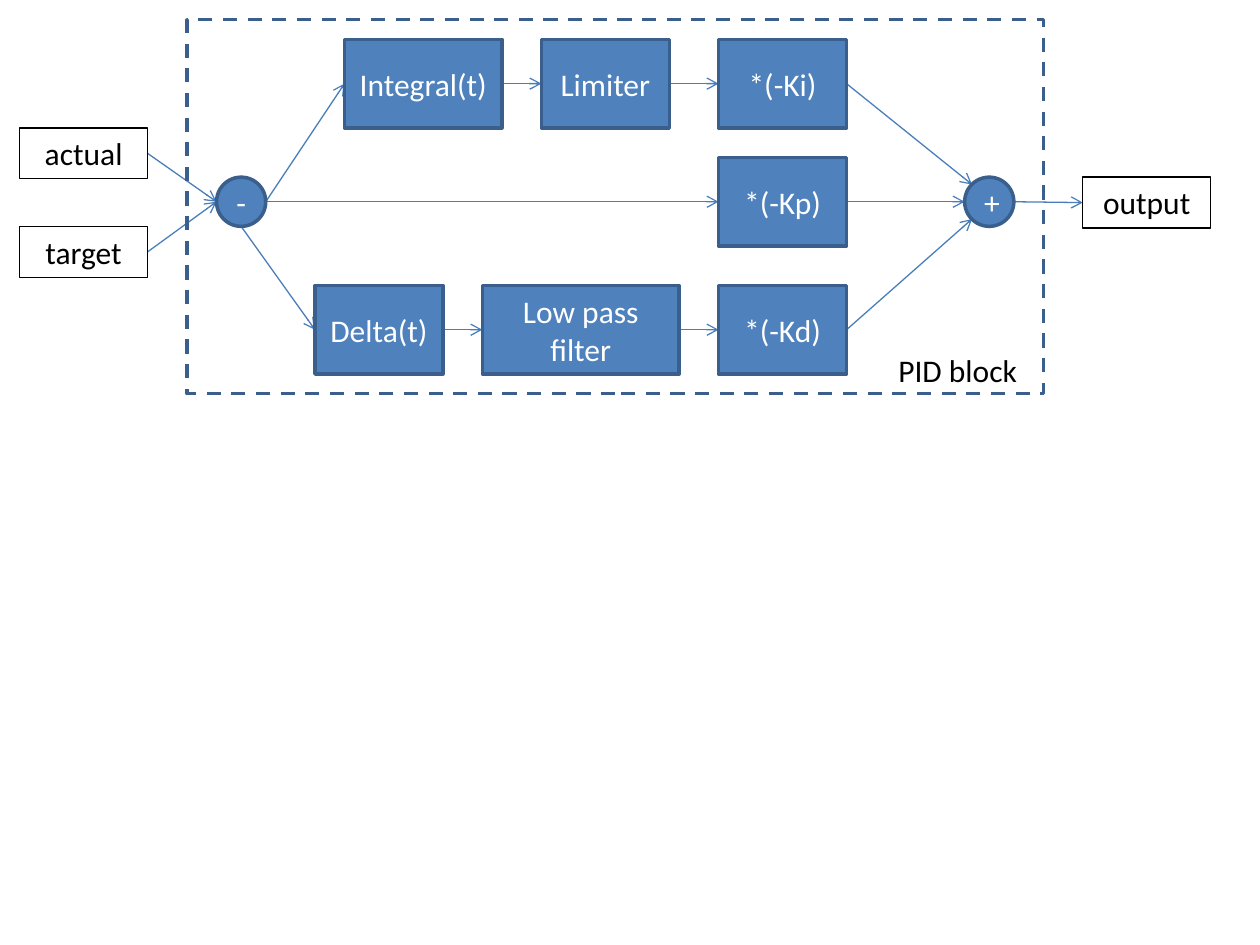
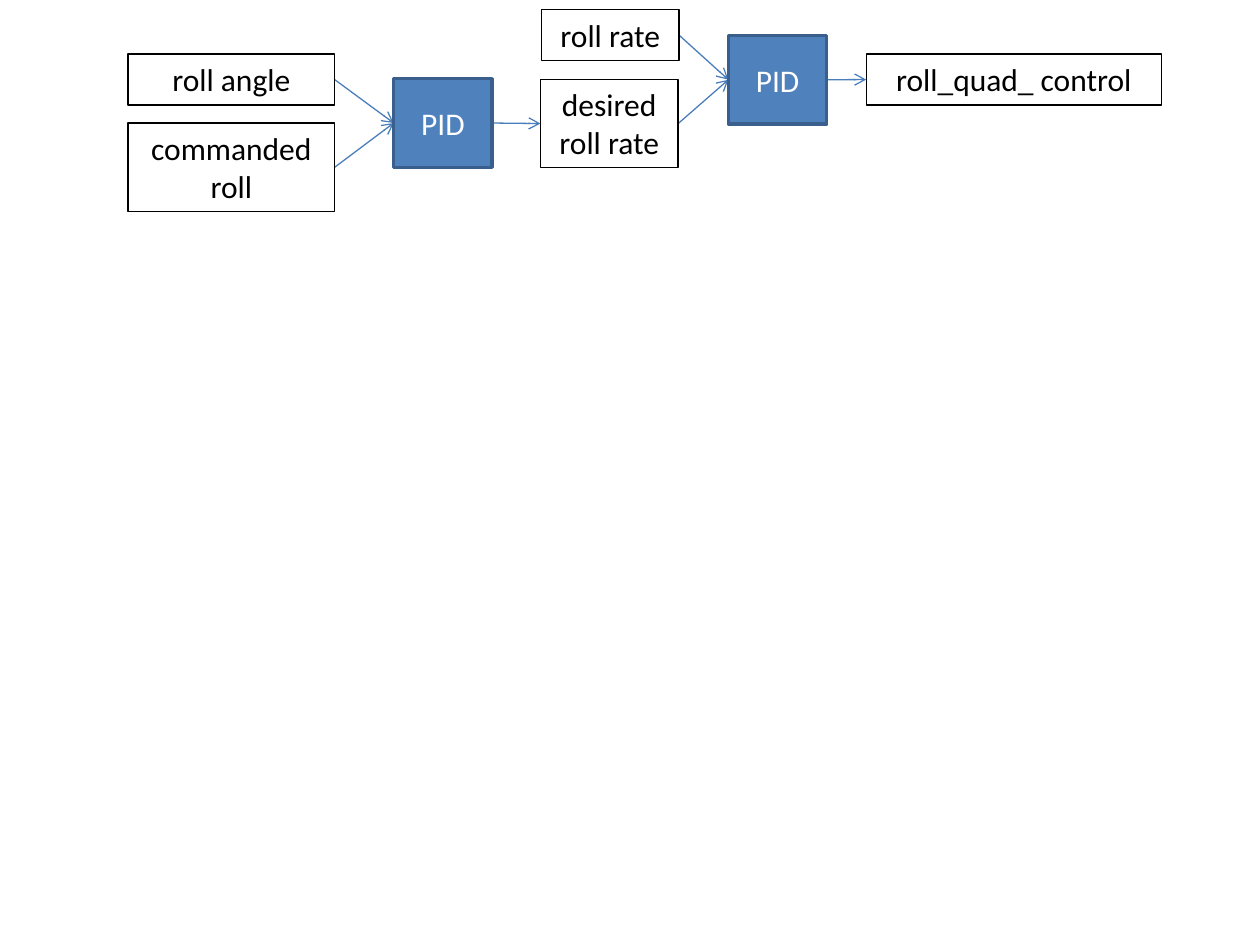
"""Build two block diagrams of a PID controller."""
from dataclasses import dataclass

from lxml import etree
from pptx import Presentation
from pptx.dml.color import RGBColor
from pptx.enum.dml import MSO_LINE
from pptx.enum.shapes import MSO_CONNECTOR, MSO_SHAPE
from pptx.enum.text import MSO_ANCHOR, PP_ALIGN
from pptx.oxml.ns import qn
from pptx.util import Inches, Pt

RECTANGLE, OVAL = MSO_SHAPE.RECTANGLE, MSO_SHAPE.OVAL
STRAIGHT, DASH = MSO_CONNECTOR.STRAIGHT, MSO_LINE.DASH
TOP, MIDDLE = MSO_ANCHOR.TOP, MSO_ANCHOR.MIDDLE
LEFT, CENTER = PP_ALIGN.LEFT, PP_ALIGN.CENTER

WIDTH, HEIGHT = Inches(10), Inches(7.5)
CELL = WIDTH / 128
FONT, FONT_SIZE = "Calibri", 18
BLUE, BORDER, ARROW = "4F81BD", "3A5F8C", "4A7EBB"
BLACK, WHITE = "000000", "FFFFFF"
LABEL_ROWS, BLOCK_ROWS, NODE_CELLS = 5.17, 9, 5
ANCHORS = {
    "left": (0, 0.5),
    "right": (1, 0.5),
    "bottom": (0.5, 1),
    "upper left": (0.15, 0.15),
    "lower left": (0.15, 0.85),
}


@dataclass(frozen=True)
class Style:
    """Look of one kind of box."""
    geometry: int = RECTANGLE
    fill: str | None = None
    border: str | None = BLACK
    border_width: float = 0.75
    color: str = BLACK
    anchor: int = TOP
    align: int = CENTER
    dashed: bool = False


LABEL = Style()
BLOCK = Style(fill=BLUE, border=BORDER, border_width=2, color=WHITE, anchor=MIDDLE)
NODE = Style(OVAL, BLUE, BORDER, 2, WHITE, MIDDLE)
FRAME = Style(border=BORDER, border_width=2, dashed=True)
CAPTION = Style(border=None, align=LEFT)


@dataclass(frozen=True)
class Box:
    """A box placed in grid columns and rows."""
    text: str
    column: float
    row: float
    columns: float
    rows: float
    style: Style

    def point(self, anchor: str) -> tuple[int, int]:
        """Return the slide position of a named anchor."""
        across, down = ANCHORS[anchor]
        return (round((self.column + across * self.columns) * CELL),
                round((self.row + down * self.rows) * CELL))


@dataclass(frozen=True)
class Link:
    """An arrow between two named boxes."""
    source: str
    target: str
    leave: str = "right"
    enter: str = "left"


def label(text: str, column: float, row: float, columns: float = 13,
          rows: float = LABEL_ROWS) -> Box:
    """Return an outlined signal label."""
    return Box(text, column, row, columns, rows, LABEL)


def block(text: str, column: float, row: float, columns: float = 13) -> Box:
    """Return a filled processing block."""
    return Box(text, column, row, columns, BLOCK_ROWS, BLOCK)


def node(text: str, column: float, row: float) -> Box:
    """Return a round summing node."""
    return Box(text, column, row, NODE_CELLS, NODE_CELLS, NODE)


def rgb(value: str) -> RGBColor:
    """Convert a hex string to a colour."""
    return RGBColor.from_string(value)


def write_text(shape, text: str, *, color: str, anchor: int, align: int) -> None:
    """Write formatted text, one paragraph a line."""
    frame = shape.text_frame
    frame.word_wrap = True
    frame.vertical_anchor = anchor
    frame.text = text
    for paragraph in frame.paragraphs:
        paragraph.alignment = align
        paragraph.font.name = FONT
        paragraph.font.size = Pt(FONT_SIZE)
        paragraph.font.color.rgb = rgb(color)


def draw_box(slide, box: Box) -> None:
    """Draw a box in its style."""
    style = box.style
    place = [round(length * CELL)
             for length in (box.column, box.row, box.columns, box.rows)]
    if style.border is None:
        shape = slide.shapes.add_textbox(*place)
    else:
        shape = slide.shapes.add_shape(style.geometry, *place)
        shape.shadow.inherit = False
        shape.line.color.rgb = rgb(style.border)
        shape.line.width = Pt(style.border_width)
    if style.fill:
        shape.fill.solid()
        shape.fill.fore_color.rgb = rgb(style.fill)
    else:
        shape.fill.background()
    if style.dashed:
        shape.line.dash_style = DASH
    if box.text:
        write_text(shape, box.text, color=style.color, anchor=style.anchor,
                   align=style.align)


def draw_link(slide, boxes: dict[str, Box], link: Link) -> None:
    """Draw an arrow from one box to another."""
    start = boxes[link.source].point(link.leave)
    end = boxes[link.target].point(link.enter)
    connector = slide.shapes.add_connector(STRAIGHT, *start, *end)
    connector.line.color.rgb = rgb(ARROW)
    connector.line.width = Pt(0.75)
    properties = connector.element.spPr
    etree.SubElement(properties.find(qn("a:ln")), qn("a:tailEnd"), type="arrow")
    etree.SubElement(properties, qn("a:effectLst"))


def draw_diagram(presentation, boxes: dict[str, Box], links: list[Link]) -> None:
    """Add a slide with arrows below their boxes."""
    slide = presentation.slides.add_slide(presentation.slide_layouts[6])
    for link in links:
        draw_link(slide, boxes, link)
    for box in boxes.values():
        draw_box(slide, box)


PID_BOXES = {
    "actual": label("actual", 2, 13),
    "target": label("target", 2, 23),
    "difference": node("-", 22, 18),
    "integral": block("Integral(t)", 35, 4, 16),
    "limiter": block("Limiter", 55, 4),
    "delta": block("Delta(t)", 32, 29),
    "filter": block("Low pass filter", 49, 29, 20),
    "integral gain": block("*(-Ki)", 73, 4),
    "proportional gain": block("*(-Kp)", 73, 16),
    "derivative gain": block("*(-Kd)", 73, 29),
    "sum": node("+", 98, 18),
    "frame": Box("", 19, 2, 87, 38, FRAME),
    "caption": Box("PID block", 90, 35, 16, LABEL_ROWS, CAPTION),
    "output": label("output", 110, 18),
}
PID_LINKS = [
    Link("actual", "difference"),
    Link("target", "difference"),
    Link("difference", "integral"),
    Link("difference", "proportional gain"),
    Link("difference", "delta", leave="bottom"),
    Link("integral", "limiter"),
    Link("limiter", "integral gain"),
    Link("delta", "filter"),
    Link("filter", "derivative gain"),
    Link("integral gain", "sum", enter="upper left"),
    Link("proportional gain", "sum"),
    Link("derivative gain", "sum", enter="lower left"),
    Link("sum", "output"),
]

ROLL_BOXES = {
    "angle": label("roll angle", 13, 5.5, 21),
    "command": label("commanded\nroll", 13, 12.5, 21, BLOCK_ROWS),
    "angle control": block("PID", 40, 8, 10),
    "rate": label("roll rate", 55, 1, 14),
    "desired rate": label("desired roll rate", 54.9, 8.05, 14, BLOCK_ROWS),
    "rate control": block("PID", 74, 3.6, 10),
    "output": label("roll_quad_ control", 88, 5.5, 30),
}
ROLL_LINKS = [
    Link("angle", "angle control"),
    Link("command", "angle control"),
    Link("angle control", "desired rate"),
    Link("rate", "rate control"),
    Link("desired rate", "rate control"),
    Link("rate control", "output"),
]


def main() -> None:
    """Build and save both slides."""
    presentation = Presentation()
    presentation.slide_width, presentation.slide_height = WIDTH, HEIGHT
    draw_diagram(presentation, PID_BOXES, PID_LINKS)
    draw_diagram(presentation, ROLL_BOXES, ROLL_LINKS)
    presentation.save("out.pptx")


main()
